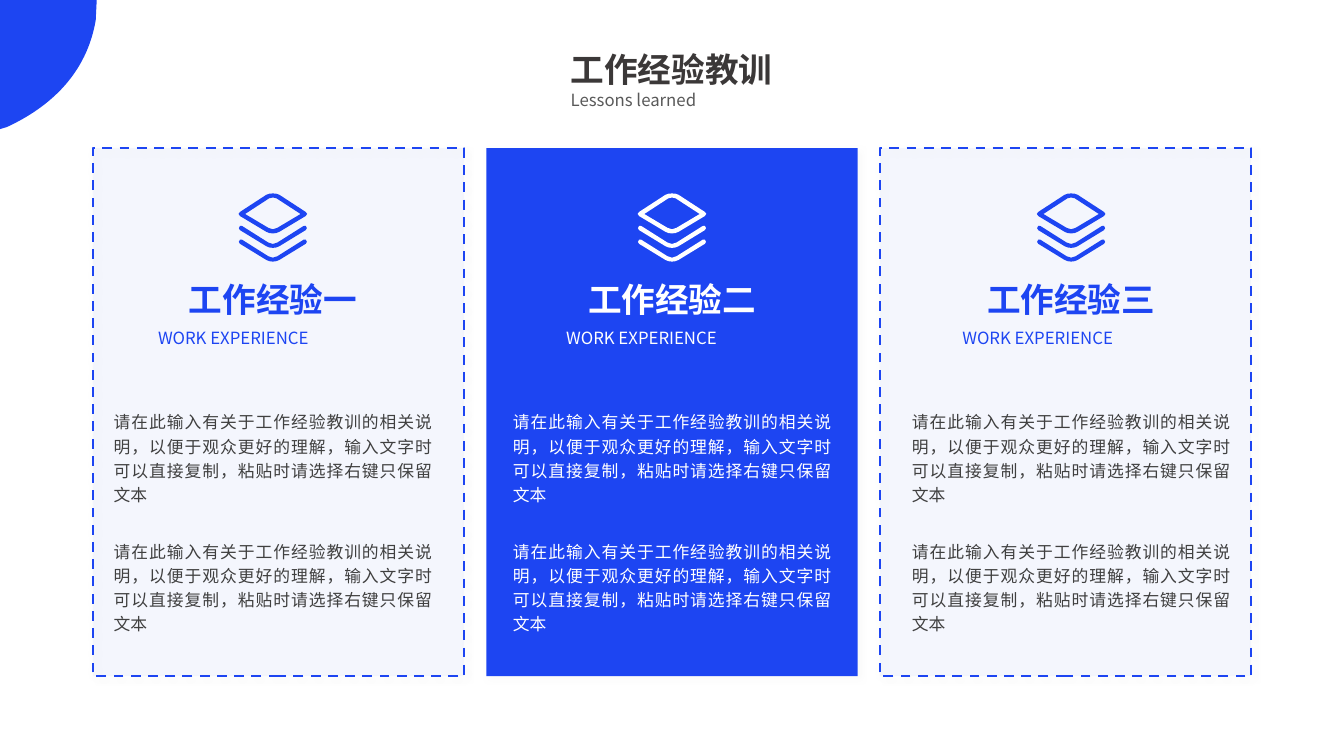
from dataclasses import dataclass

from lxml import etree
from pptx import Presentation
from pptx.dml.color import RGBColor
from pptx.enum.dml import MSO_LINE
from pptx.enum.shapes import MSO_SHAPE
from pptx.enum.text import MSO_ANCHOR, MSO_AUTO_SIZE, PP_ALIGN
from pptx.oxml.ns import qn
from pptx.shapes.autoshape import Shape
from pptx.slide import Slide
from pptx.util import Pt

RECTANGLE = MSO_SHAPE.RECTANGLE
DASH = MSO_LINE.DASH
TOP = MSO_ANCHOR.TOP
NO_FIT = MSO_AUTO_SIZE.NONE
CENTER = PP_ALIGN.CENTER
JUSTIFY = PP_ALIGN.JUSTIFY

COLORS = {
    "blue": "1D45F2",
    "pale": "A5B5FA",
    "white": "FFFFFF",
    "shadow": "F2F2F2",
    "heading": "3B3838",
    "subheading": "595959",
    "body": "404040",
}
FONT = "Noto Sans CJK SC"
ADVICE = "请在此输入有关于工作经验教训的相关说明，以便于观众更好的理解，输入文字时可以直接复制，粘贴时请选择右键只保留文本"

CARD_LEFT, CARD_TOP, CARD_WIDTH, CARD_HEIGHT = 66.3, 105.8, 265.2, 377.3
CARD_PITCH = 281.1
CONTENT_CENTER, CONTENT_PITCH = 194.9, 285.1
ADVICE_TOPS = (288, 380.2)
ICON_TOP = 138.2
CHEVRON_STEP = 9.8

Point = tuple[float, float]
Step = tuple[float, ...]

# Two numbers are a corner, six are a cubic curve.
CORNER: list[Step] = [
    (0, 0), (69.1, 0), (68.4, 14.4), (61.9, 52.6, 36, 76.3, 5, 90.7), (0, 92.2),
]
# Right halves of the icon outlines, around its vertical axis.
SHEET_EDGE: list[Step] = [
    (0, 28.6), (1.8, 28.6, 3.3, 28.2, 4.7, 27.4), (23.4, 16.2),
    (24.9, 15.2, 24.9, 14, 23.4, 13.2), (4.7, 1), (3.3, 0.2, 1.8, 0, 0, 0),
]
SHEET_HOLE: list[Step] = [
    (0, 25.6), (1.1, 25.6, 2.2, 25.3, 3.2, 24.6), (19.8, 14.7),
    (2.6, 3.5), (1.7, 3, 0.9, 2.9, 0, 2.9),
]
CHEVRON: list[Step] = [
    (0, 38.9), (1.8, 38.9, 3.3, 38.5, 4.7, 37.7), (23.5, 26.2),
    (24.1, 25.7, 24.3, 25.3, 24.3, 24.8), (24.3, 23.4, 23, 22.6, 21.9, 23.3),
    (3.2, 35.1), (2.2, 35.8, 1.1, 36.1, 0, 36.1),
]


@dataclass(frozen=True)
class Box:
    left: float
    top: float
    width: float
    height: float


@dataclass(frozen=True)
class TextStyle:
    size: float
    color: str
    bold: bool = False
    align: PP_ALIGN = JUSTIFY
    line_spacing: float = 1.0
    space_before: float = 0


@dataclass(frozen=True)
class Outline:
    """Points in order; sizes counts the points of each step after the first."""
    points: list[Point]
    sizes: list[int]


@dataclass(frozen=True)
class Experience:
    heading: str
    label_left: float
    label_width: float
    highlighted: bool = False


EXPERIENCES = [
    Experience("工作经验一", 105.8, 178.6),
    Experience("工作经验二", 397.4, 165.6, highlighted=True),
    Experience("工作经验三", 680.4, 169.9),
]


def rgb(color: str) -> RGBColor:
    return RGBColor.from_string(COLORS[color])


def write(shape: Shape, box: Box, text: str, style: TextStyle) -> None:
    """Place a text box or placeholder and fill it with one formatted run."""
    shape.left, shape.top = Pt(box.left), Pt(box.top)
    shape.width, shape.height = Pt(box.width), Pt(box.height)
    frame = shape.text_frame
    frame.word_wrap = True
    frame.auto_size = NO_FIT
    frame.vertical_anchor = TOP
    paragraph = frame.paragraphs[0]
    paragraph.alignment = style.align
    paragraph.line_spacing = style.line_spacing
    paragraph.space_before = Pt(style.space_before)
    run = paragraph.add_run()
    run.text = text
    run.font.name = FONT
    run.font.size = Pt(style.size)
    run.font.bold = style.bold
    run.font.color.rgb = rgb(style.color)
    etree.SubElement(run.font._element, qn("a:ea"), typeface=FONT)


def add_text(slide: Slide, box: Box, text: str, style: TextStyle) -> None:
    write(slide.shapes.add_textbox(0, 0, 0, 0), box, text, style)


def outline_of(steps: list[Step], drop: float = 0) -> Outline:
    points = [(x, y + drop) for step in steps for x, y in zip(step[::2], step[1::2])]
    return Outline(points, [len(step) // 2 for step in steps[1:]])


def mirrored(half: list[Step], drop: float = 0) -> Outline:
    """Complete a right half with its left half, moved down by drop."""
    right = outline_of(half, drop)
    left = [(-x, y) for x, y in right.points[-2::-1]]
    return Outline(right.points + left, right.sizes + right.sizes[::-1])


def add_outlines(slide: Slide, outlines: list[Outline], origin: Point, color: str) -> None:
    """Draw all outlines as one filled freeform with true curves."""
    placed = [[(Pt(origin[0] + x), Pt(origin[1] + y)) for x, y in outline.points]
              for outline in outlines]
    builder = slide.shapes.build_freeform(*placed[0][0])
    builder.add_line_segments(placed[0][1:], close=True)
    for points in placed[1:]:
        builder.move_to(*points[0])
        builder.add_line_segments(points[1:], close=True)
    shape = builder.convert_to_shape()
    segments = iter(list(shape._element.iter(qn("a:lnTo"))))
    for size in (size for outline in outlines for size in outline.sizes):
        first, *others = [next(segments) for _ in range(size)]
        if others:
            first.tag = qn("a:cubicBezTo")
            for segment in others:
                first.append(segment[0])
                segment.getparent().remove(segment)
    shape.shadow.inherit = False
    shape.fill.solid()
    shape.fill.fore_color.rgb = rgb(color)
    shape.line.fill.background()


def add_card_rectangle(slide: Slide, left: float) -> Shape:
    """Add a rectangle of card size with a faint shadow to the lower right."""
    card = slide.shapes.add_shape(
        RECTANGLE, Pt(left), Pt(CARD_TOP), Pt(CARD_WIDTH), Pt(CARD_HEIGHT))
    card.shadow.inherit = False
    effects = card._element.spPr.find(qn("a:effectLst"))
    shadow = etree.SubElement(effects, qn("a:outerShdw"), blurRad=str(Pt(4)),
                              dist=str(Pt(3)), dir="2700000", algn="tl", rotWithShape="0")
    tone = etree.SubElement(shadow, qn("a:srgbClr"), val=COLORS["shadow"])
    etree.SubElement(tone, qn("a:alpha"), val="40000")
    return card


def add_card(slide: Slide, left: float, highlighted: bool) -> None:
    panel = add_card_rectangle(slide, left)
    panel.fill.solid()
    panel.fill.fore_color.rgb = rgb("blue" if highlighted else "pale")
    panel.line.fill.background()
    if highlighted:
        return
    tint = panel._element.spPr.find(qn("a:solidFill"))[0]
    etree.SubElement(tint, qn("a:alpha"), val="10000")
    border = add_card_rectangle(slide, left)
    border.fill.background()
    border.line.color.rgb = rgb("blue")
    border.line.width = Pt(1.75)
    border.line.dash_style = DASH


def add_experience(slide: Slide, index: int, experience: Experience) -> None:
    accent, body = ("white", "white") if experience.highlighted else ("blue", "body")
    center = CONTENT_CENTER + index * CONTENT_PITCH
    add_card(slide, CARD_LEFT + index * CARD_PITCH, experience.highlighted)
    layers = [mirrored(SHEET_EDGE), mirrored(SHEET_HOLE),
              mirrored(CHEVRON), mirrored(CHEVRON, CHEVRON_STEP)]
    add_outlines(slide, layers, (center, ICON_TOP), accent)
    add_text(slide, Box(center - 108.7, 195.5, 217.4, 39.6), experience.heading,
             TextStyle(24, accent, bold=True, align=CENTER))
    add_text(slide, Box(experience.label_left, 230.4, experience.label_width, 39.6),
             "WORK EXPERIENCE", TextStyle(12, accent))
    for top in ADVICE_TOPS:
        add_text(slide, Box(center - 120.8, top, 241.9, 89.3), ADVICE,
                 TextStyle(12, body, line_spacing=1.2, space_before=10))


def main() -> None:
    deck = Presentation()
    deck.slide_width, deck.slide_height = Pt(960), Pt(540)
    slide = deck.slides.add_slide(deck.slide_layouts[5])
    add_outlines(slide, [outline_of(CORNER)], (0, 0), "blue")
    write(slide.shapes.title, Box(400.5, 34.6, 159.1, 33.1), "工作经验教训",
          TextStyle(24, "heading", bold=True, line_spacing=0.9))
    add_text(slide, Box(400.5, 60.5, 159.1, 36), "Lessons learned", TextStyle(12, "subheading"))
    for index, experience in enumerate(EXPERIENCES):
        add_experience(slide, index, experience)
    deck.save("out.pptx")


if __name__ == "__main__":
    main()
